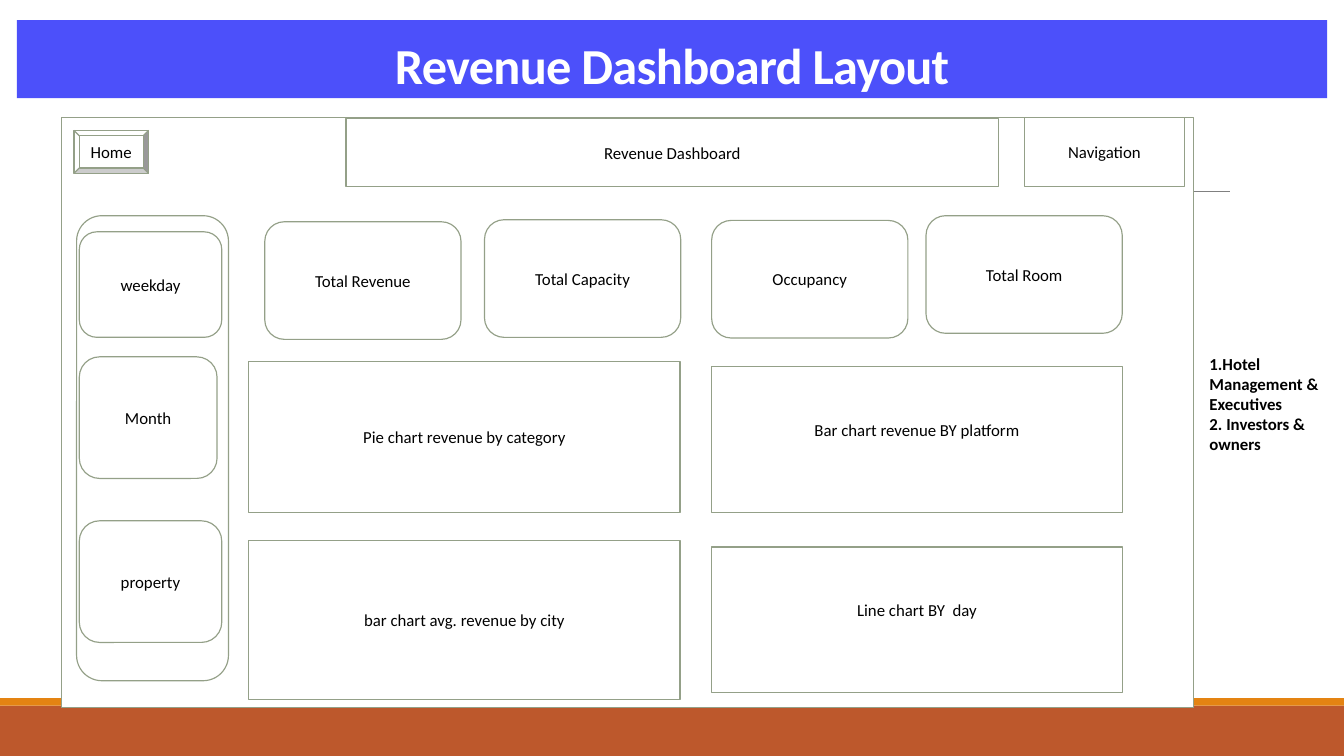
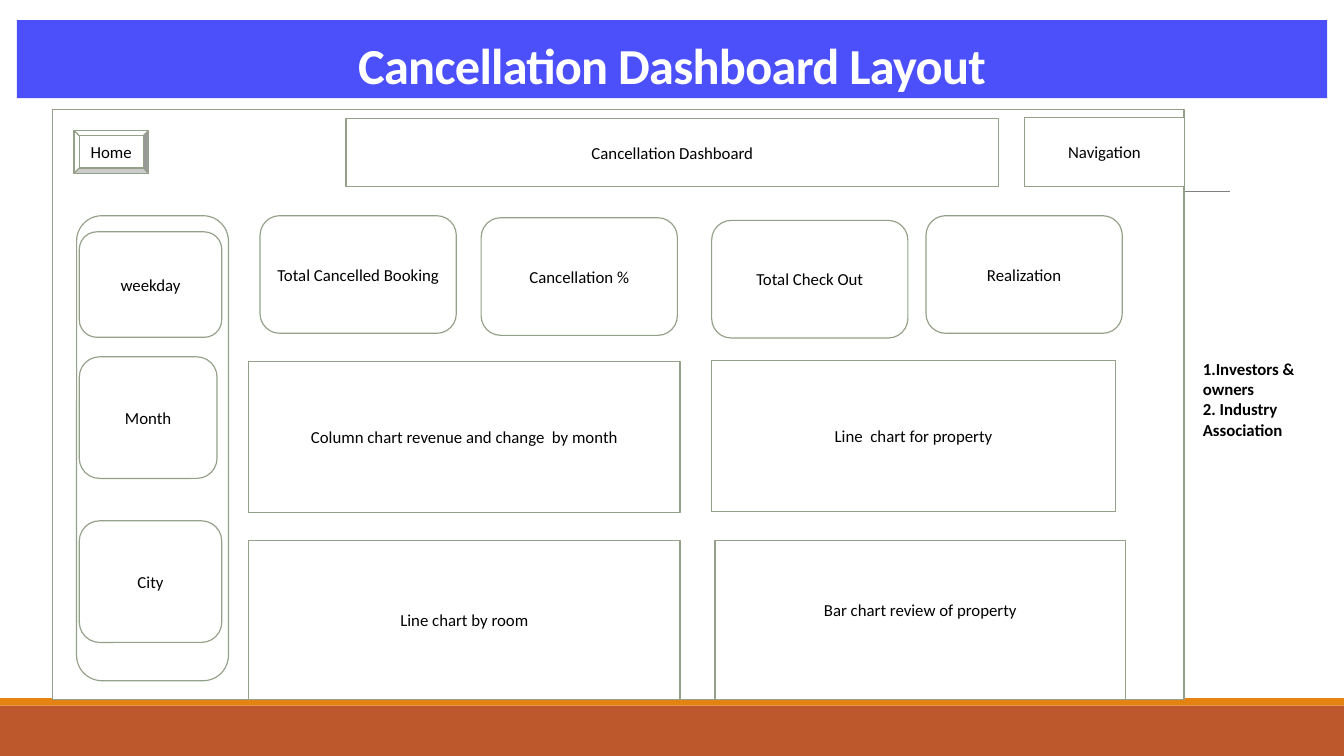
from dataclasses import dataclass

from lxml.etree import SubElement
from pptx import Presentation
from pptx.dml.color import RGBColor
from pptx.enum.shapes import MSO_CONNECTOR, MSO_SHAPE
from pptx.enum.text import MSO_ANCHOR, MSO_AUTO_SIZE, PP_ALIGN
from pptx.oxml.ns import qn
from pptx.util import Inches, Pt

# Shared style
FONT = "Calibri"
WHITE, BLACK = "FFFFFF", "000000"
TITLE_FILL, OUTLINE, RULE = "4C50FA", "94A088", "808080"
BAND, BAND_EDGE = "BD582C", "E48312"
LINE_HEIGHT = 0.3  # one line of 18 point text


@dataclass
class Box:
    left: float
    top: float
    width: float
    height: float

    def inner(self, left, top, width, height):
        return Box(self.left + left, self.top + top, width, height)

    def lengths(self):
        return [Inches(value) for value in (self.left, self.top, self.width, self.height)]


# Regions every dashboard page shares
TITLE_BOX = Box(0.25, 0.3, 19.5, 1.16)
FOOTER_BOX = Box(0, 10.39, 20, 0.86)
HEADER_BOX = Box(1.1, 1.75, 16.53, 1.02)
FILTER_BOX = Box(1.14, 3.21, 2.26, 6.92)
CARD_BOX = Box(3.87, 3.21, 12.83, 1.84)
CHART_BOX = Box(3.7, 5.36, 13.05, 5.05)

PAGES = [
    {
        "title": "Revenue Dashboard Layout",
        "heading": "Revenue Dashboard",
        "panel": Box(0.92, 1.75, 16.84, 8.78),
        "filters": ["weekday", "Month", "property"],
        # text, left and top within the card row
        "cards": [("Total Revenue", 0.07, 0.09), ("Total Capacity", 3.34, 0.06),
                  ("Occupancy", 6.72, 0.07), ("Total Room", 9.91, 0)],
        # text, place within the chart area, whether the text sits half a line high
        "charts": [("Pie chart revenue by category", (0, 0.02, 6.42, 2.25), False),
                   ("Bar chart revenue BY platform", (6.89, 0.1, 6.11, 2.17), True),
                   ("bar chart avg. revenue by city", (0, 2.68, 6.42, 2.37), False),
                   ("Line chart BY  day", (6.89, 2.78, 6.11, 2.17), True)],
        "audience": ["1.Hotel Management & Executives", "2. Investors & owners"],
        "audience_box": Box(17.9, 5.21, 1.93, 1.62),
    },
    {
        "title": "Cancellation Dashboard Layout",
        "heading": "Cancellation Dashboard",
        "panel": Box(0.78, 1.63, 16.84, 8.78),
        "filters": ["weekday", "Month", "City"],
        "cards": [("Total Cancelled Booking", 0, 0), ("Cancellation %", 3.29, 0.03),
                  ("Total Check Out", 6.72, 0.07), ("Realization", 9.91, 0)],
        "charts": [("Column chart revenue and change  by month", (0, 0.02, 6.42, 2.25), False),
                   ("Line  chart for property", (6.89, 0, 6.01, 2.25), False),
                   ("Line chart by room", (0, 2.68, 6.42, 2.37), False),
                   ("Bar chart review of property", (6.94, 2.68, 6.11, 2.37), True)],
        "audience": ["1.Investors & owners", "2. Industry Association"],
        "audience_box": Box(17.8, 5.29, 1.95, 1.31),
    },
]


def color(value):
    return RGBColor.from_string(value)


def write(frame, lines, size=18, fill=BLACK, bold=False, align=PP_ALIGN.CENTER,
          anchor=MSO_ANCHOR.MIDDLE, line_spacing=None, tracking=None):
    frame.word_wrap = True
    frame.auto_size = MSO_AUTO_SIZE.NONE
    frame.vertical_anchor = anchor
    for index, line in enumerate(lines):
        para = frame.paragraphs[0] if index == 0 else frame.add_paragraph()
        para.alignment = align
        para.line_spacing = line_spacing
        span = para.add_run()
        span.text = line
        span.font.name, span.font.size, span.font.bold = FONT, Pt(size), bold
        span.font.color.rgb = color(fill)
        if tracking is not None:
            span.font._element.set("spc", str(round(tracking * 100)))


def add_block(page, box, text=None, kind=MSO_SHAPE.RECTANGLE, fill=WHITE, line=OUTLINE):
    block = page.shapes.add_shape(kind, *box.lengths())
    block.shadow.inherit = False
    block.fill.solid()
    block.fill.fore_color.rgb = color(fill)
    if line:
        block.line.color.rgb = color(line)
        block.line.width = Pt(1.25)
    else:
        block.line.fill.background()
    if text:
        write(block.text_frame, [text])
    return block


def add_backdrop(page, box):
    add_block(page, box.inner(0, 0.11, box.width, 0.75), fill=BAND, line=None)
    add_block(page, box.inner(0, 0, box.width, 0.11), fill=BAND_EDGE, line=None)
    rule = page.shapes.add_connector(MSO_CONNECTOR.STRAIGHT, Inches(1.96), Inches(2.85),
                                     Inches(18.31), Inches(2.85))
    rule.line.color.rgb = color(RULE)
    rule.line.width = Pt(0.5)
    SubElement(rule._element.spPr, qn("a:effectLst"))


def add_title(page, box, text):
    title = page.shapes.title
    title.left, title.top, title.width, title.height = box.lengths()
    title.fill.solid()
    title.fill.fore_color.rgb = color(TITLE_FILL)
    write(title.text_frame, [text], size=54, fill=WHITE, bold=True,
          anchor=MSO_ANCHOR.BOTTOM, line_spacing=0.85, tracking=-0.8)


def add_header(page, box, heading):
    add_block(page, box.inner(4.05, 0.01, 9.71, 1.02), heading)
    add_block(page, box.inner(14.14, 0, 2.39, 1.02), "Navigation")
    add_block(page, box.inner(0, 0.19, 1.11, 0.64), "Home", kind=MSO_SHAPE.BEVEL)


def add_filters(page, box, names):
    add_block(page, box, kind=MSO_SHAPE.ROUNDED_RECTANGLE)
    places = [(0.24, 2.12, 1.57), (2.1, 2.05, 1.81), (4.54, 2.12, 1.81)]
    for name, (top, width, height) in zip(names, places):
        add_block(page, box.inner(0.04, top, width, height), name,
                  kind=MSO_SHAPE.ROUNDED_RECTANGLE)


def add_cards(page, box, cards):
    for text, left, top in cards:
        add_block(page, box.inner(left, top, 2.92, 1.75), text,
                  kind=MSO_SHAPE.ROUNDED_RECTANGLE)


def add_charts(page, box, charts):
    for text, place, raised in charts:
        block = add_block(page, box.inner(*place), text)
        if raised:
            block.text_frame.margin_bottom = Inches(0.05 + LINE_HEIGHT)


def add_audience(page, box, lines):
    note = page.shapes.add_textbox(*box.lengths())
    write(note.text_frame, lines, bold=True, align=PP_ALIGN.LEFT, anchor=MSO_ANCHOR.TOP)


def add_dashboard(deck, content):
    page = deck.slides.add_slide(deck.slide_layouts.get_by_name("Title Only"))
    add_backdrop(page, FOOTER_BOX)
    add_title(page, TITLE_BOX, content["title"])
    add_block(page, content["panel"])
    add_header(page, HEADER_BOX, content["heading"])
    add_filters(page, FILTER_BOX, content["filters"])
    add_cards(page, CARD_BOX, content["cards"])
    add_charts(page, CHART_BOX, content["charts"])
    add_audience(page, content["audience_box"], content["audience"])


def main():
    deck = Presentation()
    deck.slide_width, deck.slide_height = Inches(20), Inches(11.25)
    for content in PAGES:
        add_dashboard(deck, content)
    deck.save("out.pptx")


if __name__ == "__main__":
    main()
